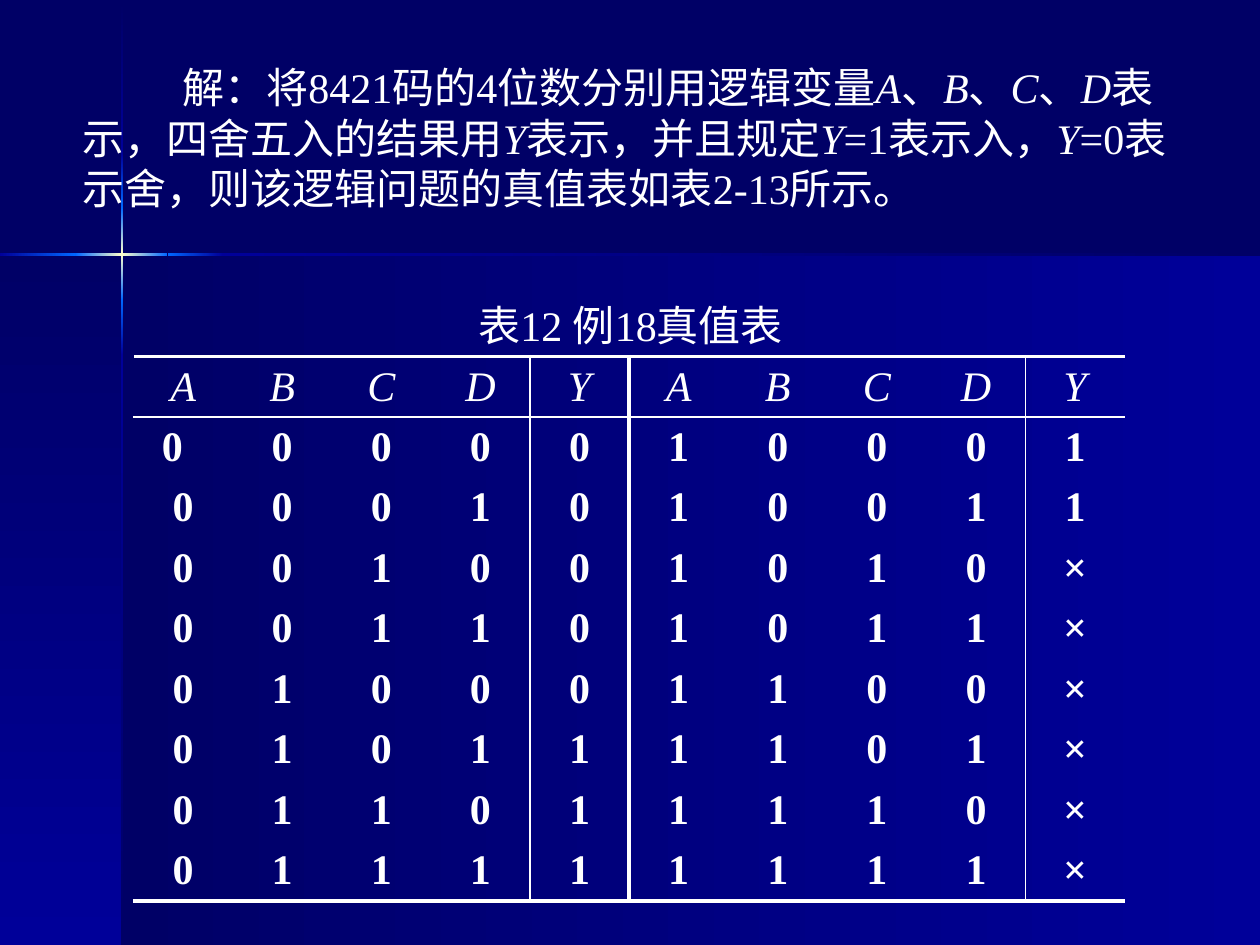
from copy import deepcopy

from lxml.etree import SubElement
from pptx import Presentation
from pptx.dml.color import RGBColor
from pptx.enum.shapes import MSO_SHAPE
from pptx.enum.text import MSO_ANCHOR, MSO_AUTO_SIZE, PP_ALIGN
from pptx.oxml.ns import qn
from pptx.util import Inches, Pt

FONT = "Times New Roman"
WHITE, NAVY, BLUE, GLOW, CREAM = "FFFFFF", "000066", "000099", "0066FF", "FFFFCC"
THICK, THIN = (WHITE, 2.25), (WHITE, 1)

# Text between asterisks is an italic logic variable.
EXPLANATION = ("解：将8421码的4位数分别用逻辑变量*A*、*B*、*C*、*D*表示，"
               "四舍五入的结果用*Y*表示，并且规定*Y*=1表示入，"
               "*Y*=0表示舍，则该逻辑问题的真值表如表2-13所示。")


def rgb(hex_string):
    return RGBColor.from_string(hex_string)


def add_run(paragraph, text, italic=False, bold=False):
    run = paragraph.add_run()
    run.text = text
    font = run.font
    font.name, font.size = FONT, Pt(24)
    font.italic, font.bold = italic, bold
    font.color.rgb = rgb(WHITE)


def add_gradient_bar(slide, box, colors, vertical):
    """Rectangle whose colours run evenly left to right, or top to bottom."""
    bar = slide.shapes.add_shape(MSO_SHAPE.RECTANGLE, *map(Inches, box))
    bar.shadow.inherit = False
    bar.line.fill.background()
    bar.fill.gradient()
    bar.fill.gradient_angle = 270 if vertical else 0
    stop_list = next(bar.element.iter(qn("a:gsLst")))
    if len(colors) == 3:
        stop_list.insert(1, deepcopy(stop_list[0]))
    for i, (stop, color) in enumerate(zip(bar.fill.gradient_stops, colors)):
        stop.color.rgb = rgb(color)
        stop.position = i / (len(colors) - 1)


def add_backdrop(slide, width, height, cross_x, cross_y):
    """Two shaded panels below a glowing cross."""
    slide.background.fill.solid()
    slide.background.fill.fore_color.rgb = rgb(NAVY)
    below = height - cross_y
    add_gradient_bar(slide, (cross_x, cross_y, width - cross_x, below), (NAVY, BLUE), False)
    add_gradient_bar(slide, (0, cross_y, cross_x, below), (NAVY, BLUE), True)

    thickness = 0.02
    upright = [(0.01, 1.21, (NAVY, BLUE)), (1.21, 1.65, (BLUE, GLOW)),
               (1.65, 2.38, (GLOW, CREAM, GLOW)),
               (2.38, 2.82, (GLOW, BLUE)), (2.82, height, (BLUE, NAVY))]
    for start, end, colors in upright:
        add_gradient_bar(slide, (cross_x - thickness / 2, start, thickness, end - start),
                         colors, True)
    level = [(0, 0.6, (BLUE, GLOW)), (0.6, 1.33, (GLOW, CREAM, GLOW)),
             (1.33, 1.77, (GLOW, BLUE)), (1.77, width, (BLUE, NAVY))]
    for start, end, colors in level:
        add_gradient_bar(slide, (start, cross_y - thickness / 2, end - start, thickness),
                         colors, False)


def add_paragraph_box(slide, box):
    frame = slide.shapes.add_textbox(*map(Inches, box)).text_frame
    frame.word_wrap = True
    frame.auto_size = MSO_AUTO_SIZE.SHAPE_TO_FIT_TEXT
    return frame.paragraphs[0]


def add_explanation(slide, box):
    paragraph = add_paragraph_box(slide, box)
    paragraph._p.get_or_add_pPr().set("indent", str(Inches(0.79)))
    for i, part in enumerate(EXPLANATION.split("*")):
        add_run(paragraph, part, italic=i % 2 == 1)


def add_caption(slide, box):
    paragraph = add_paragraph_box(slide, box)
    paragraph.alignment = PP_ALIGN.CENTER
    add_run(paragraph, "表12 例18真值表")


def set_borders(cell, left, right, top, bottom):
    """Each border is a (colour, points) pair, or None for no line."""
    properties = cell._tc.get_or_add_tcPr()
    sides = zip(("lnL", "lnR", "lnT", "lnB"), (left, right, top, bottom))
    for i, (tag, border) in enumerate(sides):
        line = SubElement(properties, qn(f"a:{tag}"))
        properties.insert(i, line)
        if border is None:
            SubElement(line, qn("a:noFill"))
            continue
        color, points = border
        line.set("w", str(Pt(points)))
        fill = SubElement(line, qn("a:solidFill"))
        SubElement(fill, qn("a:srgbClr")).set("val", color)


def truth_row(number):
    """Four bits of a code and its rounding result; codes above 9 never occur."""
    result = "×" if number > 9 else str(int(number >= 5))
    return [*f"{number:04b}", result]


def add_truth_table(slide, box):
    rows = [[*"ABCDY"] * 2] + [truth_row(n) + truth_row(n + 8) for n in range(8)]
    row_count, column_count = len(rows), len(rows[0])
    left, top, width, height = map(Inches, box)
    table = slide.shapes.add_table(row_count, column_count, left, top, width, height).table
    table.first_row = table.horz_banding = False
    for column in table.columns:
        column.width = width // column_count
    for row in table.rows:
        row.height = height // row_count

    # Lines are keyed by the number of columns or rows before them.
    upright = {0: (NAVY, 1), 4: THIN, 5: THICK, 9: THIN}
    level = {0: THICK, 1: THIN, row_count: THICK}
    for r, values in enumerate(rows):
        for c, value in enumerate(values):
            cell = table.cell(r, c)
            cell.fill.background()
            set_borders(cell, upright.get(c), upright.get(c + 1),
                        level.get(r), level.get(r + 1))
            cell.vertical_anchor = MSO_ANCHOR.MIDDLE
            cell.margin_top = cell.margin_bottom = Inches(0.04)
            paragraph = cell.text_frame.paragraphs[0]
            paragraph.alignment = PP_ALIGN.CENTER
            add_run(paragraph, value, italic=r == 0, bold=r > 0)
    table.cell(1, 0).margin_right = Inches(0.27)


def main():
    prs = Presentation()
    prs.slide_width, prs.slide_height = Inches(10), Inches(7.5)
    slide = prs.slides.add_slide(prs.slide_layouts[6])
    add_backdrop(slide, 10, 7.5, cross_x=0.97, cross_y=2.02)
    add_explanation(slide, (0.56, 0.44, 8.86, 1.31))
    add_truth_table(slide, (1.06, 2.83, 7.87, 4.31))
    add_caption(slide, (2.88, 2.33, 4.25, 0.5))
    prs.save("out.pptx")


if __name__ == "__main__":
    main()
